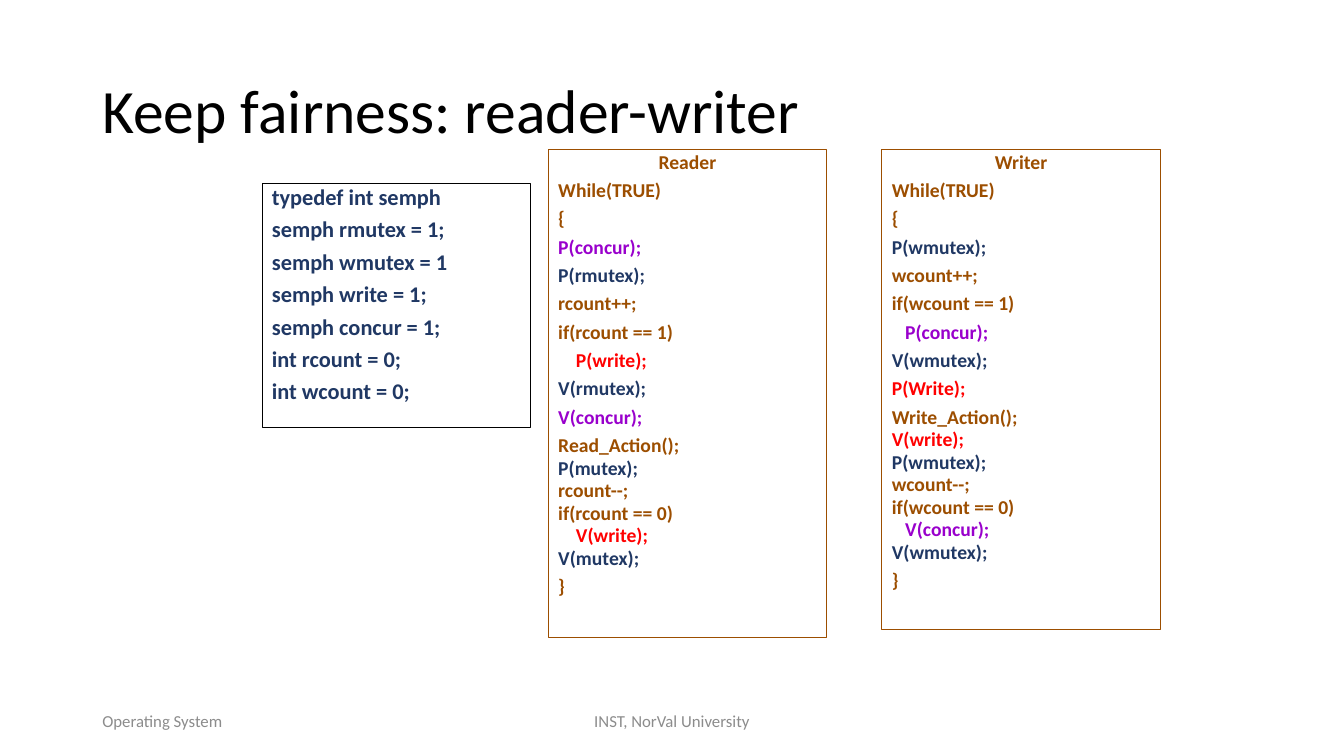
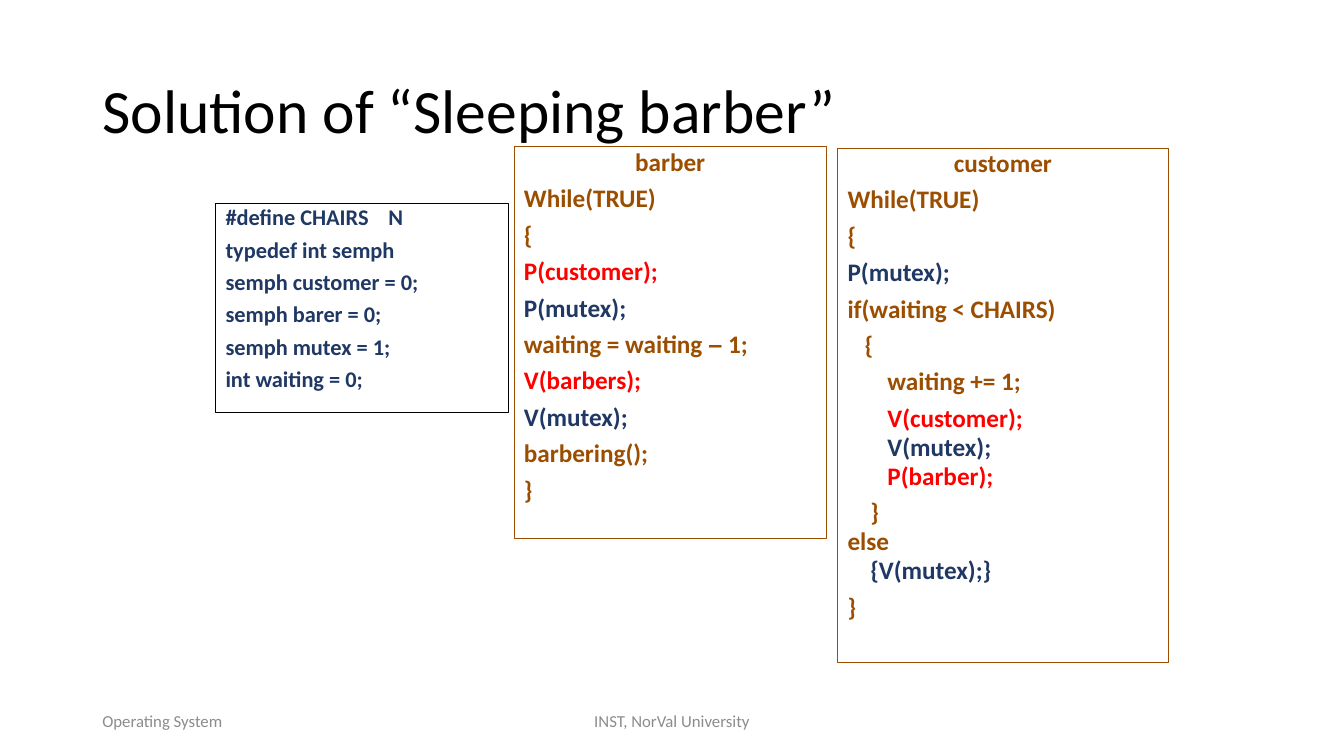
from dataclasses import dataclass

from lxml.etree import SubElement
from pptx import Presentation
from pptx.dml.color import RGBColor
from pptx.enum.shapes import MSO_SHAPE
from pptx.enum.text import MSO_ANCHOR, MSO_AUTO_SIZE, PP_ALIGN
from pptx.oxml.ns import qn
from pptx.util import Pt

BLACK, WHITE, GRAY = "000000", "FFFFFF", "8C8C8C"
BROWN, NAVY, RED, PURPLE = "9C4E00", "203864", "FF0000", "9900CC"


def color(value):
    return RGBColor.from_string(value)


@dataclass
class Line:
    text: str
    color: str = BROWN
    indent: int = 0
    tight: bool = False


class Deck:
    font = "Calibri"
    dash_font = "Arial"
    loose_gap = 0.485
    tight_gap = 0.19
    indent_width = 0.226
    footers = [
        ("Operating System", 66, 216, PP_ALIGN.LEFT),
        ("INST, NorVal University", 318, 324, PP_ALIGN.CENTER),
    ]

    def __init__(self):
        self.presentation = Presentation()
        self.presentation.slide_width = Pt(960)
        self.presentation.slide_height = Pt(540)
        self.slide = None

    def add_slide(self, title):
        layout = self.presentation.slide_layouts[5]
        self.slide = self.presentation.slides.add_slide(layout)
        self.add_title(title)
        for text, left, width, alignment in self.footers:
            self.add_footer(text, left, width, alignment)

    def add_run(self, paragraph, text, size, value, bold=False, font=None):
        run = paragraph.add_run()
        run.text = text
        run.font.name = font or self.font
        run.font.size = Pt(size)
        run.font.bold = bold
        run.font.color.rgb = color(value)

    def prepare_frame(self, shape, anchor):
        frame = shape.text_frame
        frame.word_wrap = True
        frame.auto_size = MSO_AUTO_SIZE.NONE
        frame.vertical_anchor = anchor
        return frame

    def add_title(self, text):
        shape = self.slide.shapes.title
        shape.left, shape.top = Pt(66), Pt(28.8)
        shape.width, shape.height = Pt(828), Pt(104.4)
        paragraph = self.prepare_frame(shape, MSO_ANCHOR.MIDDLE).paragraphs[0]
        paragraph.alignment = PP_ALIGN.LEFT
        paragraph.line_spacing = 0.9
        self.add_run(paragraph, text, 44, BLACK)

    def add_footer(self, text, left, width, alignment):
        shape = self.slide.shapes.add_textbox(Pt(left), Pt(500.4), Pt(width), Pt(28.8))
        paragraph = self.prepare_frame(shape, MSO_ANCHOR.MIDDLE).paragraphs[0]
        paragraph.alignment = alignment
        self.add_run(paragraph, text, 12, GRAY)

    def add_box(self, left, top, width, height, border, fill=None):
        shape = self.slide.shapes.add_shape(
            MSO_SHAPE.RECTANGLE, Pt(left), Pt(top), Pt(width), Pt(height))
        shape.shadow.inherit = False
        if fill:
            shape.fill.solid()
            shape.fill.fore_color.rgb = color(fill)
        else:
            shape.fill.background()
        shape.line.color.rgb = color(border)
        shape.line.width = Pt(0.75)
        return self.prepare_frame(shape, MSO_ANCHOR.TOP)

    def add_line(self, frame, line, size, first=False, alignment=PP_ALIGN.LEFT, tab=None):
        paragraph = frame.paragraphs[0] if first else frame.add_paragraph()
        paragraph.alignment = alignment
        paragraph.line_spacing = 0.8
        gap = self.tight_gap if line.tight else self.loose_gap
        paragraph.space_before = Pt(0 if first else size * gap)
        properties = paragraph._p.get_or_add_pPr()
        if line.indent:
            properties.set("marL", str(Pt(line.indent * self.indent_width * size)))
        if tab:
            stops = SubElement(properties, qn("a:tabLst"))
            SubElement(stops, qn("a:tab"), pos=str(Pt(tab)), algn="l")
        for part in line.text.partition("–"):
            if part:
                font = self.dash_font if part == "–" else self.font
                self.add_run(paragraph, part, size, line.color, True, font)

    def add_declarations(self, bounds, texts, fill=None, tab=None):
        frame = self.add_box(*bounds, BLACK, fill)
        for index, text in enumerate(texts):
            stop = tab if "\t" in text else None
            self.add_line(frame, Line(text, NAVY), 16, index == 0, tab=stop)

    def add_process(self, bounds, name, size, lines):
        frame = self.add_box(*bounds, BROWN)
        self.add_line(frame, Line(name), size, True, PP_ALIGN.CENTER)
        for line in [Line("While(TRUE)"), Line("{"), *lines, Line("}")]:
            self.add_line(frame, line, size)


def add_reader_writer(deck):
    deck.add_slide("Keep fairness: reader-writer")
    deck.add_declarations((187.2, 131, 191.5, 174.2), [
        "typedef int semph",
        "semph rmutex = 1;",
        "semph wmutex = 1",
        "semph write = 1;",
        "semph concur = 1;",
        "int rcount = 0;",
        "int wcount = 0;",
    ])
    deck.add_process((391.7, 106.6, 198.7, 348.5), "Reader", 14, [
        Line("P(concur);", PURPLE),
        Line("P(rmutex);", NAVY),
        Line("rcount++;"),
        Line("if(rcount == 1)"),
        Line("P(write);", RED, 4),
        Line("V(rmutex);", NAVY),
        Line("V(concur);", PURPLE),
        Line("Read_Action();"),
        Line("P(mutex);", NAVY, tight=True),
        Line("rcount--;", tight=True),
        Line("if(rcount == 0)", tight=True),
        Line("V(write);", RED, 4, True),
        Line("V(mutex);", NAVY, tight=True),
    ])
    deck.add_process((630, 106.6, 198.7, 343.4), "Writer", 14, [
        Line("P(wmutex);", NAVY),
        Line("wcount++;"),
        Line("if(wcount == 1)"),
        Line("P(concur);", PURPLE, 3),
        Line("V(wmutex);", NAVY),
        Line("P(Write);", RED),
        Line("Write_Action();"),
        Line("V(write);", RED, tight=True),
        Line("P(wmutex);", NAVY, tight=True),
        Line("wcount--;", tight=True),
        Line("if(wcount == 0)", tight=True),
        Line("V(concur);", PURPLE, 3, True),
        Line("V(wmutex);", NAVY, tight=True),
    ])


def add_sleeping_barber(deck):
    deck.add_slide("Solution of “Sleeping barber”")
    deck.add_declarations((154, 145.4, 209.5, 149), [
        "#define CHAIRS\tN",
        "typedef int semph",
        "semph customer = 0;",
        "semph barer = 0;",
        "semph mutex = 1;",
        "int waiting = 0;",
    ], WHITE, 116.4)
    deck.add_process((367.2, 105, 223.2, 280), "barber", 18, [
        Line("P(customer);", RED),
        Line("P(mutex);", NAVY),
        Line("waiting = waiting – 1;"),
        Line("V(barbers);", RED),
        Line("V(mutex);", NAVY),
        Line("barbering();"),
    ])
    deck.add_process((598.3, 105.8, 236.2, 367.2), "customer", 18, [
        Line("P(mutex);", NAVY),
        Line("if(waiting < CHAIRS)"),
        Line("{", indent=3),
        Line("waiting += 1;", indent=7),
        Line("V(customer);", RED, 7),
        Line("V(mutex);", NAVY, 7, True),
        Line("P(barber);", RED, 7, True),
        Line("}", indent=4),
        Line("else", tight=True),
        Line("{V(mutex);}", NAVY, 4, True),
    ])


def main():
    deck = Deck()
    add_reader_writer(deck)
    add_sleeping_barber(deck)
    deck.presentation.save("out.pptx")


if __name__ == "__main__":
    main()
